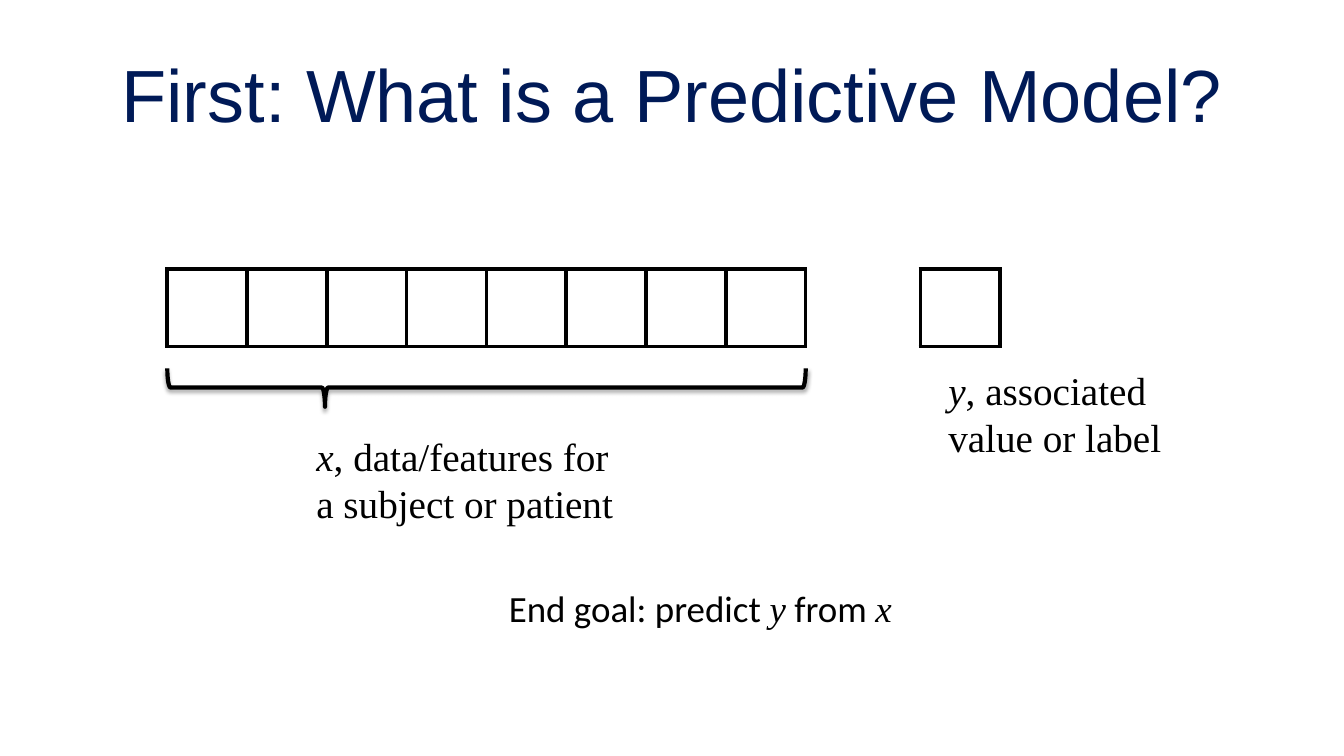
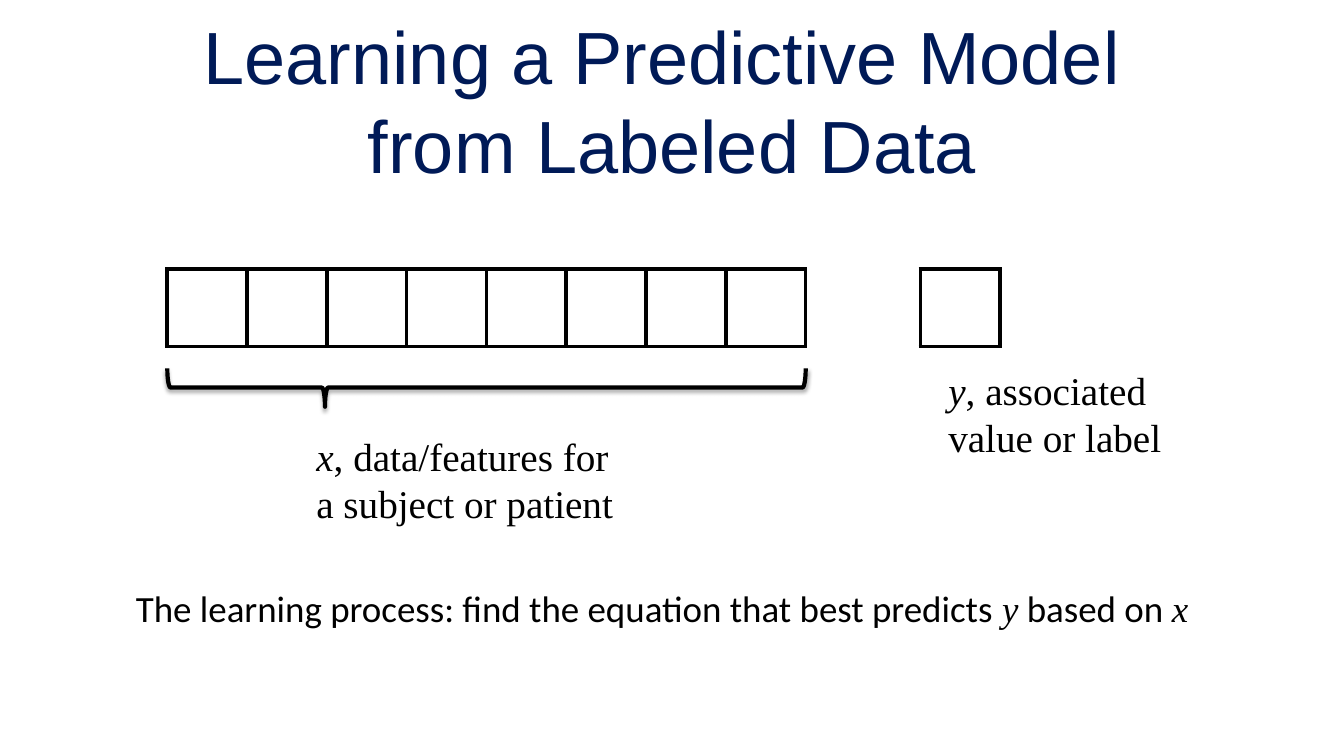
from dataclasses import dataclass
from typing import NamedTuple

from pptx import Presentation
from pptx import oxml
from pptx import util as u
from pptx.dml.color import RGBColor
from pptx.enum import shapes, text
from pptx.oxml import ns


@dataclass(frozen=True)
class Theme:
    ink: RGBColor = RGBColor(0x00, 0x00, 0x00)
    title_color: RGBColor = RGBColor(0x00, 0x1A, 0x57)
    title_font: str = "Arial"
    body_font: str = "Calibri"
    math_font: str = "Times New Roman"
    title_size: float = 52.8
    label_size: float = 28
    summary_size: float = 26.4
    line_width: float = 3


class Box(NamedTuple):
    left: float
    top: float
    width: float
    height: float

    def lengths(self) -> list[u.Length]:
        return [u.Pt(value) for value in self]


class Span(NamedTuple):
    text: str
    is_variable: bool = False


@dataclass(frozen=True)
class Label:
    box: Box
    spans: tuple[Span, ...]


@dataclass(frozen=True)
class ModelSlide:
    title: str
    title_top: float
    summary: Label


THEME = Theme()
X = Span("x", True)
Y = Span("y", True)

CELL_WIDTH, CELL_HEIGHT = 57, 55.4
ROW_LEFT, ROW_TOP = 119.5, 192.2
FEATURE_COUNT = 8
LABEL_LEFT = 657.4
BRACE_TOP, BRACE_DEPTH = 263.1, 27.4
BRACE_CURVE, BRACE_POINT = 0.083, 0.247

LABELS = (
    Label(Box(218.9, 305.3, 235.4, 74.9), (X, Span(", data/features for a subject or patient"))),
    Label(Box(670.3, 257.8, 210.2, 74.9), (Y, Span(", associated value or label"))),
)

SLIDES = (
    ModelSlide(
        "First: What is a Predictive Model?", 21.6,
        Label(Box(356.4, 414.7, 295.2, 38.9),
              (Span("End goal: predict "), Y, Span(" from "), X)),
    ),
    ModelSlide(
        "Learning a Predictive Model \vfrom Labeled Data", 25.9,
        Label(Box(90, 414.7, 779.8, 38.9),
              (Span("The learning process: find the equation that best predicts "), Y,
               Span(" based on "), X)),
    ),
)


def add_title(slide, title: str, top: float) -> None:
    frame = slide.shapes.add_textbox(*Box(48, top, 864, 90).lengths()).text_frame
    frame.word_wrap = True
    frame.vertical_anchor = text.MSO_ANCHOR.MIDDLE
    paragraph = frame.paragraphs[0]
    paragraph.text = title
    paragraph.alignment = text.PP_ALIGN.CENTER
    paragraph.font.name = THEME.title_font
    paragraph.font.size = u.Pt(THEME.title_size)
    paragraph.font.color.rgb = THEME.title_color


def add_label(slide, label: Label, size: float, font: str, wrap: bool) -> None:
    """Write plain spans in the given font and variables in math italics."""
    frame = slide.shapes.add_textbox(*label.box.lengths()).text_frame
    frame.word_wrap = wrap
    paragraph = frame.paragraphs[0]
    paragraph.font.size = u.Pt(size)
    paragraph.font.color.rgb = THEME.ink
    for span in label.spans:
        run = paragraph.add_run()
        run.text = span.text
        run.font.name = THEME.math_font if span.is_variable else font
        run.font.italic = span.is_variable


def add_cell_row(slide, left: float, count: int) -> None:
    box = Box(left, ROW_TOP, count * CELL_WIDTH, CELL_HEIGHT)
    table = slide.shapes.add_table(1, count, *box.lengths()).table
    table.first_row = table.horz_banding = False
    for cell in table.iter_cells():
        properties = cell._tc.get_or_add_tcPr()
        for side in ("lnL", "lnR", "lnT", "lnB"):
            properties.append(oxml.parse_xml(
                f'<a:{side} {ns.nsdecls("a")} w="{u.Pt(THEME.line_width)}"><a:solidFill>'
                f'<a:srgbClr val="{THEME.ink}"/></a:solidFill></a:{side}>'))
        cell.fill.background()


def add_brace(slide) -> None:
    """Draw a left brace turned to point down from the feature row."""
    span = FEATURE_COUNT * CELL_WIDTH
    box = Box(ROW_LEFT + (span - BRACE_DEPTH) / 2,
              BRACE_TOP + (BRACE_DEPTH - span) / 2, BRACE_DEPTH, span)
    brace = slide.shapes.add_shape(shapes.MSO_SHAPE.LEFT_BRACE, *box.lengths())
    brace.rotation = 270
    brace.adjustments[0] = BRACE_CURVE
    brace.adjustments[1] = BRACE_POINT
    brace.fill.background()
    brace.line.color.rgb = THEME.ink
    brace.line.width = u.Pt(THEME.line_width)
    brace.shadow.inherit = False
    effects = brace._element.spPr.find(ns.qn("a:effectLst"))
    effects.append(oxml.parse_xml(
        f'<a:outerShdw {ns.nsdecls("a")} blurRad="{u.Pt(3.1)}" dist="{u.Pt(1.8)}" '
        f'dir="5400000" rotWithShape="0"><a:srgbClr val="{THEME.ink}">'
        '<a:alpha val="35000"/></a:srgbClr></a:outerShdw>'))


def add_model_slide(presentation, content: ModelSlide) -> None:
    slide = presentation.slides.add_slide(presentation.slide_layouts[6])
    add_brace(slide)
    for label in LABELS:
        add_label(slide, label, THEME.label_size, THEME.math_font, wrap=True)
    add_title(slide, content.title, content.title_top)
    add_label(slide, content.summary, THEME.summary_size, THEME.body_font, wrap=False)
    add_cell_row(slide, ROW_LEFT, FEATURE_COUNT)
    add_cell_row(slide, LABEL_LEFT, 1)


def main() -> None:
    presentation = Presentation()
    presentation.slide_width = u.Pt(960)
    presentation.slide_height = u.Pt(540)
    for content in SLIDES:
        add_model_slide(presentation, content)
    presentation.save("out.pptx")


if __name__ == "__main__":
    main()
